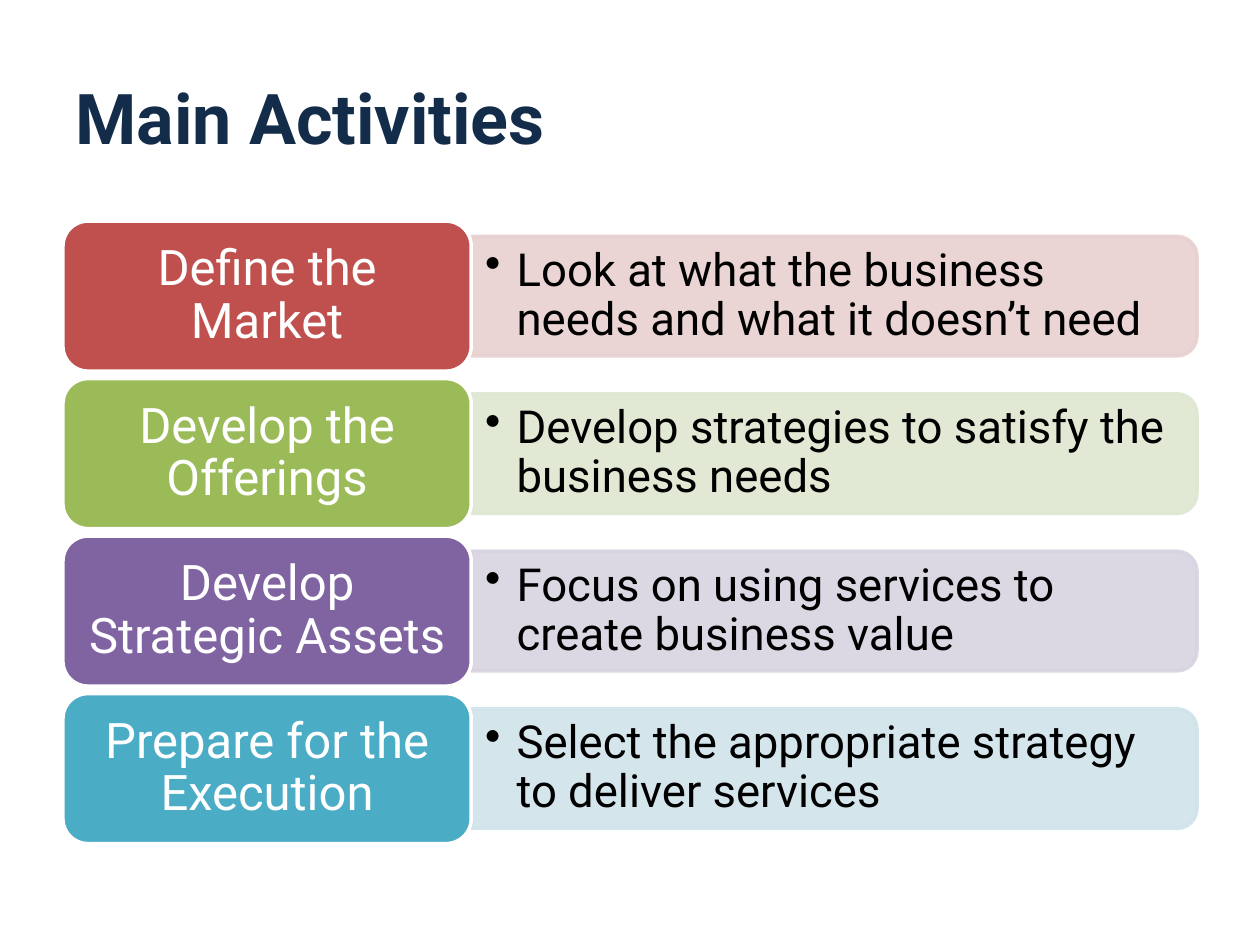
from lxml import etree
from pptx import Presentation
from pptx import util as u
from pptx.dml.color import RGBColor
from pptx.enum import shapes, text
from pptx.oxml.ns import qn

NAVY = RGBColor(0x13, 0x2C, 0x4A)
BLACK = RGBColor(0x00, 0x00, 0x00)
WHITE = RGBColor(0xFF, 0xFF, 0xFF)
RED = RGBColor(0xC0, 0x50, 0x4D)
PALE_RED = RGBColor(0xE8, 0xD0, 0xD0)
GREEN = RGBColor(0x9B, 0xBB, 0x59)
PALE_GREEN = RGBColor(0xDE, 0xE7, 0xD1)
PURPLE = RGBColor(0x80, 0x64, 0xA2)
PALE_PURPLE = RGBColor(0xD8, 0xD3, 0xE0)
TEAL = RGBColor(0x4B, 0xAC, 0xC6)
PALE_TEAL = RGBColor(0xD0, 0xE3, 0xEA)

ACTIVITIES = [
    ("Define the Market", "Look at what the business needs and what it doesn’t need", RED, PALE_RED),
    ("Develop the Offerings", "Develop strategies to satisfy the business needs", GREEN, PALE_GREEN),
    ("Develop Strategic Assets", "Focus on using services to create business value", PURPLE, PALE_PURPLE),
    ("Prepare for the Execution", "Select the appropriate strategy to deliver services", TEAL, PALE_TEAL),
]

FIRST_CENTER, ROW_PITCH = 2.35, 1.25
LEFT, LABEL_WIDTH, LABEL_HEIGHT = 0.5, 3.24, 1.19
BAR_LEFT, BAR_LENGTH, BAR_THICKNESS = LEFT + LABEL_WIDTH, 5.76, 0.95
DETAIL_WIDTH, DETAIL_HEIGHT = 5.71, 0.86


class SlideBuilder:
    font_name = "Roboto"

    def __init__(self, slide):
        self.slide = slide

    def set_text(self, shape, words, size, color, margins=(0.1, 0.05), bold=False):
        """Fill the shape with one vertically centred paragraph and return it."""
        frame = shape.text_frame
        frame.word_wrap = True
        frame.vertical_anchor = text.MSO_ANCHOR.MIDDLE
        frame.margin_left = frame.margin_right = u.Inches(margins[0])
        frame.margin_top = frame.margin_bottom = u.Inches(margins[1])
        paragraph = frame.paragraphs[0]
        paragraph.text = words
        paragraph.font.name = self.font_name
        paragraph.font.size = u.Pt(size)
        paragraph.font.bold = bold
        paragraph.font.color.rgb = color
        return paragraph

    def text_box(self, left, top, width, height):
        return self.slide.shapes.add_textbox(*map(u.Inches, (left, top, width, height)))

    def block(self, kind, left, top, width, height, fill, line):
        shape = self.slide.shapes.add_shape(kind, *map(u.Inches, (left, top, width, height)))
        shape.shadow.inherit = False
        shape.fill.solid()
        shape.fill.fore_color.rgb = fill
        shape.line.color.rgb = line
        shape.line.width = u.Pt(2)
        return shape

    def title(self, words):
        self.set_text(self.text_box(0.5, 0.3, 9, 1.25), words, 40, NAVY, bold=True)

    def bar(self, center, color):
        """Draw a translucent bar, turned so that its round end points right."""
        shape = self.block(
            shapes.MSO_SHAPE.ROUND_2_SAME_RECTANGLE,
            BAR_LEFT + (BAR_LENGTH - BAR_THICKNESS) / 2, center - BAR_LENGTH / 2,
            BAR_THICKNESS, BAR_LENGTH, color, color)
        shape.rotation = 90
        for solid in shape.element.spPr.iter(qn("a:solidFill")):
            etree.SubElement(solid[0], qn("a:alpha"), val="90000")

    def detail(self, center, words):
        box = self.text_box(BAR_LEFT, center - DETAIL_HEIGHT / 2, DETAIL_WIDTH, DETAIL_HEIGHT)
        properties = box.text_frame.paragraphs[0]._p.get_or_add_pPr()
        properties.set("marL", str(u.Inches(0.25)))
        properties.set("indent", str(u.Inches(-0.25)))
        etree.SubElement(properties, qn("a:buChar"), char="•")
        self.set_text(box, words, 26, BLACK, (0.11, 0.05)).line_spacing = 0.9

    def label(self, center, words, color):
        shape = self.block(
            shapes.MSO_SHAPE.ROUNDED_RECTANGLE, LEFT, center - LABEL_HEIGHT / 2,
            LABEL_WIDTH, LABEL_HEIGHT, color, WHITE)
        paragraph = self.set_text(shape, words, 28, WHITE, (0.12, 0.06))
        paragraph.alignment = text.PP_ALIGN.CENTER
        paragraph.line_spacing = 0.9


def main():
    presentation = Presentation()
    presentation.slide_width = u.Inches(10)
    presentation.slide_height = u.Inches(7.5)
    builder = SlideBuilder(presentation.slides.add_slide(presentation.slide_layouts[6]))
    builder.title("Main Activities")
    for row, (name, description, color, pale_color) in enumerate(ACTIVITIES):
        center = FIRST_CENTER + row * ROW_PITCH
        builder.bar(center, pale_color)
        builder.detail(center, description)
        builder.label(center, name, color)
    presentation.save("out.pptx")


if __name__ == "__main__":
    main()
